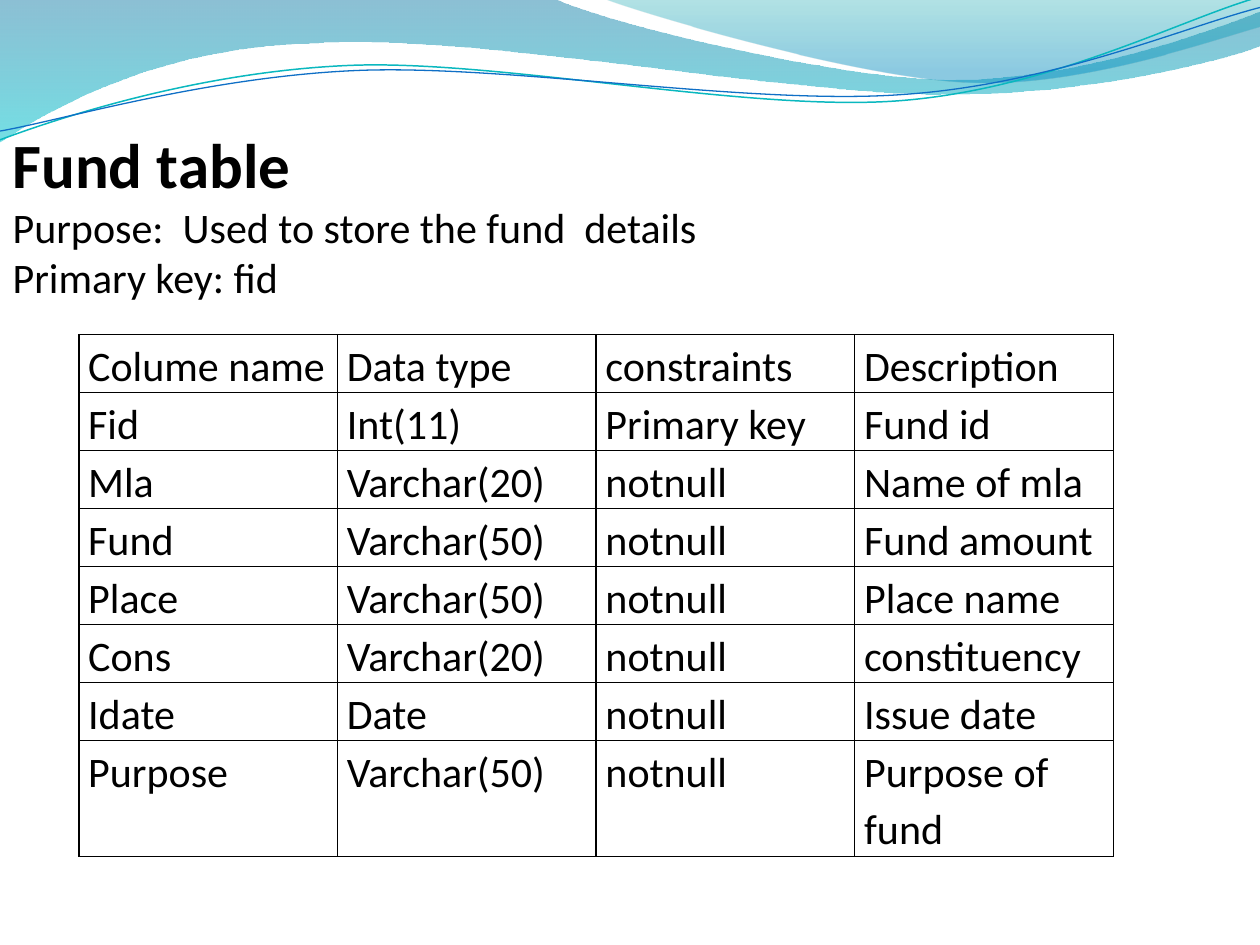
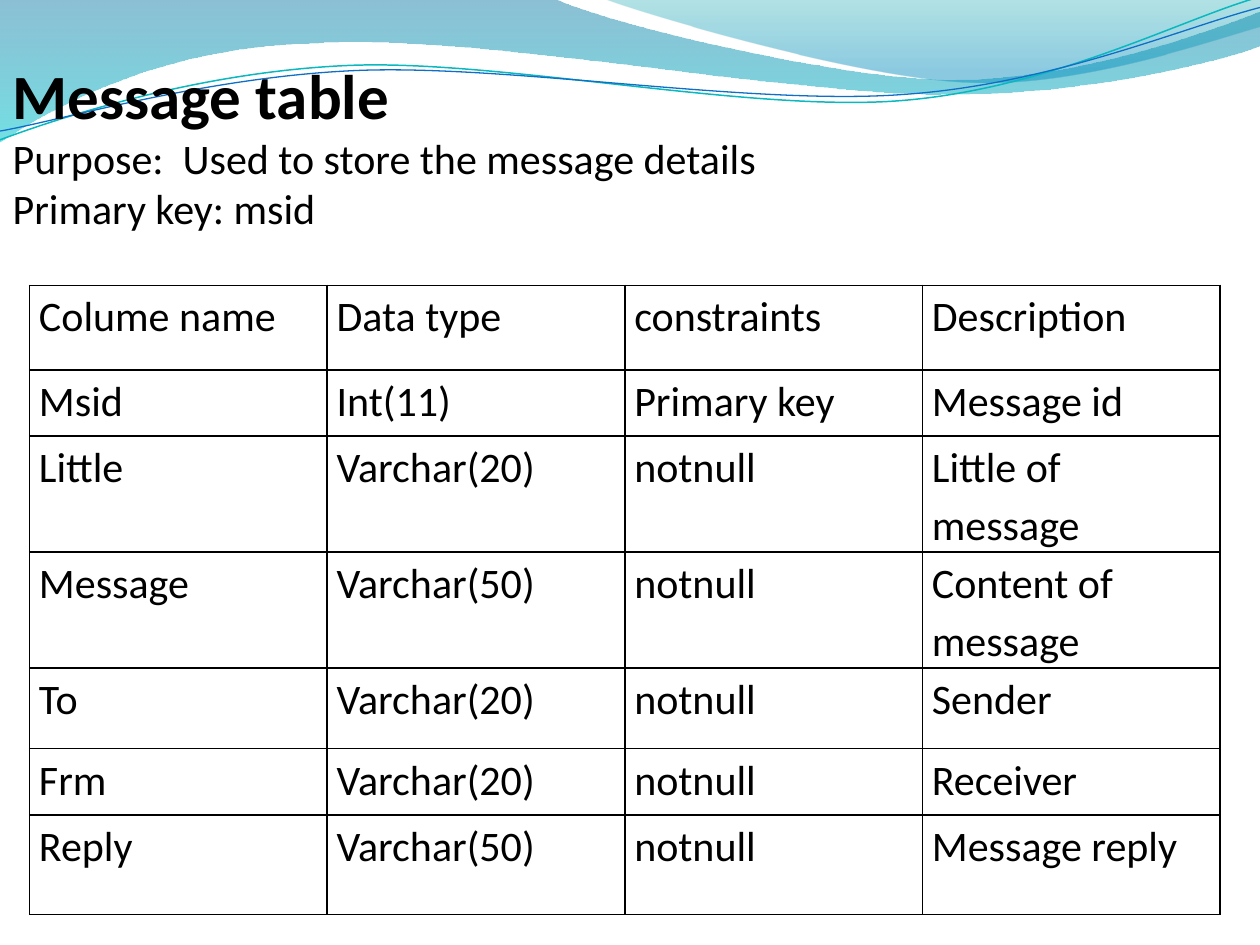
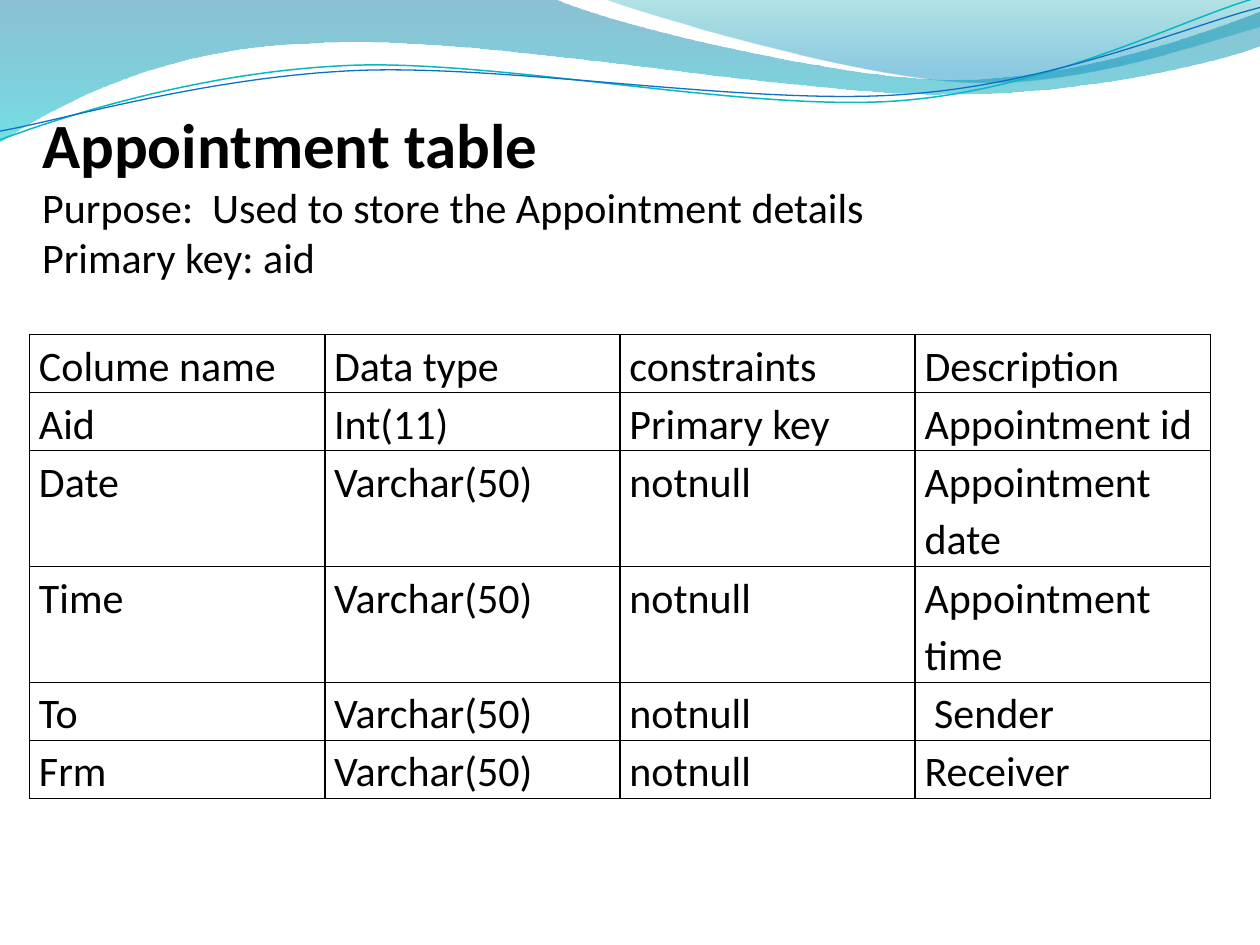
from math import cos, radians, sin

from lxml import etree
from pptx import Presentation
from pptx.dml.color import RGBColor
from pptx.enum.text import MSO_ANCHOR, MSO_AUTO_SIZE, PP_ALIGN
from pptx.oxml.ns import qn
from pptx.util import Pt

TOP = MSO_ANCHOR.TOP
NO_FIT = MSO_AUTO_SIZE.NONE
LEFT = PP_ALIGN.LEFT

FONT = "Calibri"
BLACK = "000000"
TITLE_SIZE, BODY_SIZE = 36, 24
CELL_SPACING = 1.13
ROW, TALL_ROW = 33.14, 66.26
WAVE_TILT = 2.7

BANDS = [
    {"start": (0, 0),
     "steps": [(316.8, -0.7),
               (342.7, 12.2, 478.1, 45.4, 545.8, 45.4),
               (614.2, 45.4, 689.8, 18.7, 720, 6.5),
               (720.7, 25.9),
               (707.8, 31.7, 626.4, 54.7, 537.1, 54),
               (447.8, 54, 275, 20.2, 185, 24.5),
               (92.9, 25.9, 33.1, 59.8, -0.7, 81.4),
               (0, 0)],
     "stops": [(0, "0074A1", 45), (1, "00C6CF", 55)]},
    {"start": (344.9, -0.7),
     "steps": [(366.5, 7.9, 491, 44.6, 553.7, 46.8),
               (616.3, 49.7, 691.9, 23, 720, 15.1),
               (720, 0),
               (344.9, -0.7)],
     "stops": [(0, "00A1A9", 30), (0.8, "008BBF", 45)]},
]
WAVES = [
    {"start": (0, 79.9), "center": (359.3, 41.4),
     "steps": [(34.6, 67, 113.8, 41, 199.4, 37.4),
               (284.4, 33.8, 427, 64.1, 513.4, 57.6),
               (599.8, 51.1, 675.4, 10.8, 718.6, -1.4)],
     "color": "0AB8BF", "width": 0.85},
    {"start": (0, 74.9), "center": (359.6, 42.5),
     "steps": [(33.8, 69.1, 118.1, 43.9, 203.8, 40.3),
               (290.2, 36.7, 429.8, 60.5, 516.2, 54),
               (601.9, 48.2, 677.5, 15.1, 720, 4.3)],
     "color": "0F6FC6", "width": 0.75},
]

HEADER = ("Colume name", "Data type", "constraints", "Description")
SLIDES = [
    {"heading": ["Fund table",
                 "Purpose:  Used to store the fund  details",
                 "Primary key: fid"],
     "heading_box": (0, 68.1, 517.7, 108.7),
     "table_at": (45, 191.2), "column": 147.8,
     "heights": [ROW] * 7 + [TALL_ROW],
     "rows": [("Fid", "Int(11)", "Primary key", "Fund id"),
              ("Mla", "Varchar(20)", "notnull", "Name of mla"),
              ("Fund", "Varchar(50)", "notnull", "Fund amount"),
              ("Place", "Varchar(50)", "notnull", "Place name"),
              ("Cons", "Varchar(20)", "notnull", "constituency"),
              ("Idate", "Date", "notnull", "Issue date"),
              ("Purpose", "Varchar(50)", "notnull", "Purpose of fund")]},
    {"heading": ["Message table",
                 "Purpose:  Used to store the message details",
                 "Primary key: msid"],
     "heading_box": (0, 28.7, 697.7, 131),
     "table_at": (16.9, 163.1), "column": 170.1,
     "heights": [48.3, 37.8, TALL_ROW, TALL_ROW, 46.2, 37.8, 57],
     "rows": [("Msid", "Int(11)", "Primary key", "Message id"),
              ("Little", "Varchar(20)", "notnull", "Little of message"),
              ("Message", "Varchar(50)", "notnull", "Content of message"),
              ("To", "Varchar(20)", "notnull", "Sender"),
              ("Frm", "Varchar(20)", "notnull", "Receiver"),
              ("Reply", "Varchar(50)", "notnull", "Message reply")]},
    {"heading": ["Appointment table",
                 "Purpose:  Used to store the Appointment details",
                 "Primary key: aid"],
     "heading_box": (16.9, 56.7, 703.1, 138.2),
     "table_at": (16.9, 191.2), "column": 168.7,
     "heights": [ROW, ROW, TALL_ROW, TALL_ROW, ROW, ROW],
     "rows": [("Aid", "Int(11)", "Primary key", "Appointment id"),
              ("Date", "Varchar(50)", "notnull", "Appointment date"),
              ("Time", "Varchar(50)", "notnull", "Appointment time"),
              ("To", "Varchar(50)", "notnull", " Sender"),
              ("Frm", "Varchar(50)", "notnull", "Receiver")]},
]


def rgb(value):
    return RGBColor.from_string(value)


def turn(point, center, degrees):
    dx, dy = point[0] - center[0], point[1] - center[1]
    c, s = cos(radians(degrees)), sin(radians(degrees))
    return center[0] + c * dx - s * dy, center[1] + s * dx + c * dy


def add_outline(slide, part, close, tilt=0):
    points = [part["start"]]
    for step in part["steps"]:
        points += zip(step[::2], step[1::2])
    if tilt:
        points = [turn(point, part["center"], tilt) for point in points]
    points = [(Pt(x), Pt(y)) for x, y in points]
    builder = slide.shapes.build_freeform(*points[0])
    builder.add_line_segments(points[1:], close=close)
    shape = builder.convert_to_shape()
    shape.rotation = -tilt % 360
    shape.shadow.inherit = False
    bend_segments(shape, part["steps"])
    return shape


def bend_segments(shape, steps):
    segments = iter(list(shape.element.iter(qn("a:lnTo"))))
    for step in steps:
        group = [next(segments) for _ in range(len(step) // 2)]
        if len(group) == 1:
            continue
        curve = etree.Element(qn("a:cubicBezTo"))
        group[0].addprevious(curve)
        for segment in group:
            curve.append(segment[0])
            segment.getparent().remove(segment)


def add_band(slide, band):
    shape = add_outline(slide, band, True)
    shape.line.fill.background()
    shape.fill.gradient()
    shape.fill.gradient_angle = 270
    for stop, (position, color, _) in zip(shape.fill.gradient_stops, band["stops"]):
        stop.position = position
        stop.color.rgb = rgb(color)
    for node, (_, _, opacity) in zip(shape.element.iter(qn("a:srgbClr")), band["stops"]):
        etree.SubElement(node, qn("a:alpha"), val=str(opacity * 1000))
    return shape


def add_wave(slide, wave):
    shape = add_outline(slide, wave, False, WAVE_TILT)
    shape.fill.background()
    shape.line.color.rgb = rgb(wave["color"])
    shape.line.width = Pt(wave["width"])
    return shape


def decorate_layout(layout, slide):
    for holder in list(layout.placeholders)[1:]:
        layout.shapes.element.remove(holder.element)
    shapes = [add_band(slide, band) for band in BANDS]
    shapes += [add_wave(slide, wave) for wave in WAVES]
    for shape in shapes:
        layout.shapes.element.append(shape.element)


def format_para(para, size, bold=False):
    para.alignment = LEFT
    for span in para.runs:
        span.font.name = FONT
        span.font.size = Pt(size)
        span.font.bold = bold
        span.font.color.rgb = rgb(BLACK)


def fill_heading(box, lines, place):
    box.left, box.top, box.width, box.height = map(Pt, place)
    frame = box.text_frame
    frame.text = "\n".join(lines)
    frame.word_wrap = True
    frame.auto_size = NO_FIT
    frame.vertical_anchor = TOP
    for index, para in enumerate(frame.paragraphs):
        format_para(para, BODY_SIZE if index else TITLE_SIZE, bold=index == 0)


def add_borders(cell):
    properties = cell._tc.get_or_add_tcPr()
    for side in ("lnL", "lnR", "lnT", "lnB"):
        line = etree.SubElement(properties, qn("a:" + side), w=str(Pt(1)))
        fill = etree.SubElement(line, qn("a:solidFill"))
        etree.SubElement(fill, qn("a:srgbClr"), val=BLACK)


def format_cell(cell, text):
    cell.text = text
    cell.margin_left = cell.margin_right = Pt(5.4)
    cell.margin_top = cell.margin_bottom = 0
    cell.vertical_anchor = TOP
    add_borders(cell)
    cell.fill.background()
    para = cell.text_frame.paragraphs[0]
    para.line_spacing = CELL_SPACING
    format_para(para, BODY_SIZE)


def add_field_table(slide, content):
    rows = [HEADER] + content["rows"]
    left, top = content["table_at"]
    width = content["column"] * len(HEADER)
    table = slide.shapes.add_table(len(rows), len(HEADER), Pt(left), Pt(top),
                                   Pt(width), Pt(sum(content["heights"]))).table
    table.first_row = table.horz_banding = False
    for column in table.columns:
        column.width = Pt(content["column"])
    for row, height, texts in zip(table.rows, content["heights"], rows):
        row.height = Pt(height)
        for cell, text in zip(row.cells, texts):
            format_cell(cell, text)


def main():
    deck = Presentation()
    deck.slide_width, deck.slide_height = Pt(720), Pt(540)
    layout = deck.slide_layouts[5]
    pages = [deck.slides.add_slide(layout) for _ in SLIDES]
    decorate_layout(layout, pages[0])
    for page, content in zip(pages, SLIDES):
        fill_heading(page.shapes.title, content["heading"], content["heading_box"])
        add_field_table(page, content)
    deck.save("out.pptx")


if __name__ == "__main__":
    main()
